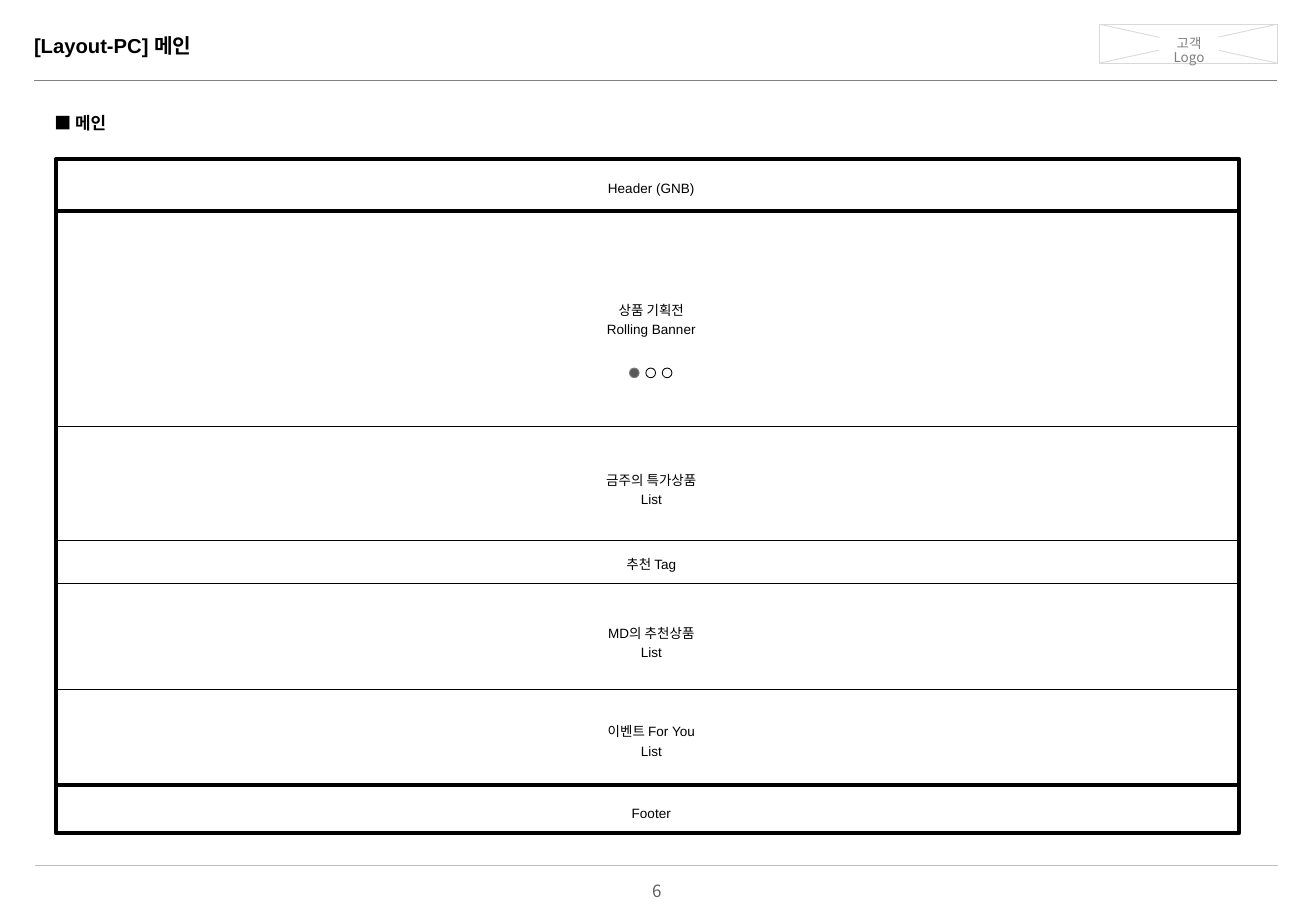
import pptx
import pptx.util
import pptx.dml.color
import pptx.enum.text
import pptx.enum.shapes
import pptx.oxml.ns
import lxml.etree

Inches = pptx.util.Inches
Pt = pptx.util.Pt
Align = pptx.enum.text.PP_ALIGN
Anchor = pptx.enum.text.MSO_ANCHOR
Shape = pptx.enum.shapes.MSO_SHAPE
SANS = "Noto Sans CJK KR"

# Bottom edge, rule width, label top, label lines
BANDS = [
    (1.74, 2.25, 1.46, ["Header (GNB)"]),
    (3.51, 0.5, 2.46, ["상품 기획전", "Rolling Banner"]),
    (4.45, 0.5, 3.86, ["금주의 특가상품", "List"]),
    (4.8, 0.5, 4.55, ["추천 Tag"]),
    (5.68, 0.5, 5.12, ["MD의 추천상품", "List"]),
    (6.46, 2.25, 5.93, ["이벤트 For You", "List"]),
    (6.86, None, 6.6, ["Footer"]),
]


def color(code):
    return pptx.dml.color.RGBColor.from_string(code)


def write(frame, lines, size, font="Arial", ink="000000", bold=False,
          align=Align.CENTER, space=None, inset=0, wrap=True):
    frame.word_wrap = wrap
    frame.margin_left = frame.margin_right = Inches(inset)
    frame.margin_top = frame.margin_bottom = Inches(inset / 2)
    frame.text = "\n".join(lines)
    for para in frame.paragraphs:
        para.alignment = align
        para.line_spacing = space
        para.font.size = Pt(size)
        para.font.name = font
        para.font.bold = bold
        para.font.color.rgb = color(ink)


def label(slide, box, lines, size, **style):
    text = slide.shapes.add_textbox(*map(Inches, box))
    write(text.text_frame, lines, size, **style)


def rule(slide, start, end, ink, width):
    line = slide.shapes.add_connector(
        pptx.enum.shapes.MSO_CONNECTOR.STRAIGHT, *map(Inches, start + end))
    line.line.color.rgb = color(ink)
    line.line.width = Pt(width)
    lxml.etree.SubElement(line._element.spPr, pptx.oxml.ns.qn("a:effectLst"))


def block(slide, kind, box, fill=None, ink=None, width=0.5):
    shape = slide.shapes.add_shape(kind, *map(Inches, box))
    shape.shadow.inherit = False
    if fill:
        shape.fill.solid()
        shape.fill.fore_color.rgb = color(fill)
    else:
        shape.fill.background()
    if ink:
        shape.line.color.rgb = color(ink)
        shape.line.width = Pt(width)
    else:
        shape.line.fill.background()
    return shape


def add_logo(slide, left, top, width, height):
    right, bottom = left + width, top + height
    block(slide, Shape.RECTANGLE, (left, top, width, height), "FFFFFF", "D9D9D9")
    rule(slide, (left, bottom), (right, top), "D9D9D9", 0.5)
    rule(slide, (left, top), (right, bottom), "D9D9D9", 0.5)
    tag = block(slide, Shape.RECTANGLE, (left + 0.49, top + 0.1, 0.49, 0.13), "FFFFFF")
    write(tag.text_frame, ["고객", "Logo"], 8, font=SANS, ink="7F7F7F", space=0.9)
    tag.text_frame.vertical_anchor = Anchor.TOP


def add_head(slide, left, top, width):
    title = slide.shapes.title
    title.left, title.top = Inches(left - 0.1), Inches(top)
    title.width, title.height = Inches(4.24), Inches(0.31)
    write(title.text_frame, ["[Layout-PC] 메인"], 12, bold=True,
          align=Align.LEFT, inset=0.1)
    title.text_frame.vertical_anchor = Anchor.MIDDLE
    rule(slide, (left, top + 0.44), (left + width, top + 0.44), "808080", 0.25)
    add_logo(slide, left + width - 1.46, top - 0.02, 1.46, 0.32)


def add_foot(slide, left, top, width):
    rule(slide, (left, top), (left + width, top), "BFBFBF", 0.25)
    label(slide, (left + width / 2 - 0.26, top + 0.13, 0.52, 0.22), ["6"], 10,
          font=SANS, ink="5F5F5F")


def add_dots(slide, left, top):
    for spot in range(3):
        fill, ink = ("595959", "808080") if spot == 0 else (None, "000000")
        block(slide, Shape.OVAL, (left + spot * 0.135, top, 0.08, 0.08), fill, ink)


def add_frame(slide, left, top, width):
    label(slide, (left - 0.11, top - 0.43, 0.67, 0.27), ["■ 메인"], 10, font=SANS,
          bold=True, align=Align.LEFT, inset=0.1, wrap=False)
    block(slide, Shape.RECTANGLE, (left, top, width, BANDS[-1][0] - top),
          "FFFFFF", "000000", 2.25)
    for base, weight, text_top, lines in BANDS:
        if weight:
            rule(slide, (left, base), (left + width, base), "000000", weight)
        label(slide, (left + 4.21, text_top, 1.38, 0.16 * len(lines)), lines, 8,
              space=1.2)
    add_dots(slide, left + 4.72, top + 1.72)


def main():
    deck = pptx.Presentation()
    deck.slide_width, deck.slide_height = Inches(10.83), Inches(7.5)
    slide = deck.slides.add_slide(deck.slide_layouts[5])
    add_foot(slide, 0.29, 7.12, 10.23)
    add_head(slide, 0.28, 0.22, 10.23)
    add_frame(slide, 0.46, 1.31, 9.74)
    deck.save("out.pptx")


if __name__ == "__main__":
    main()
